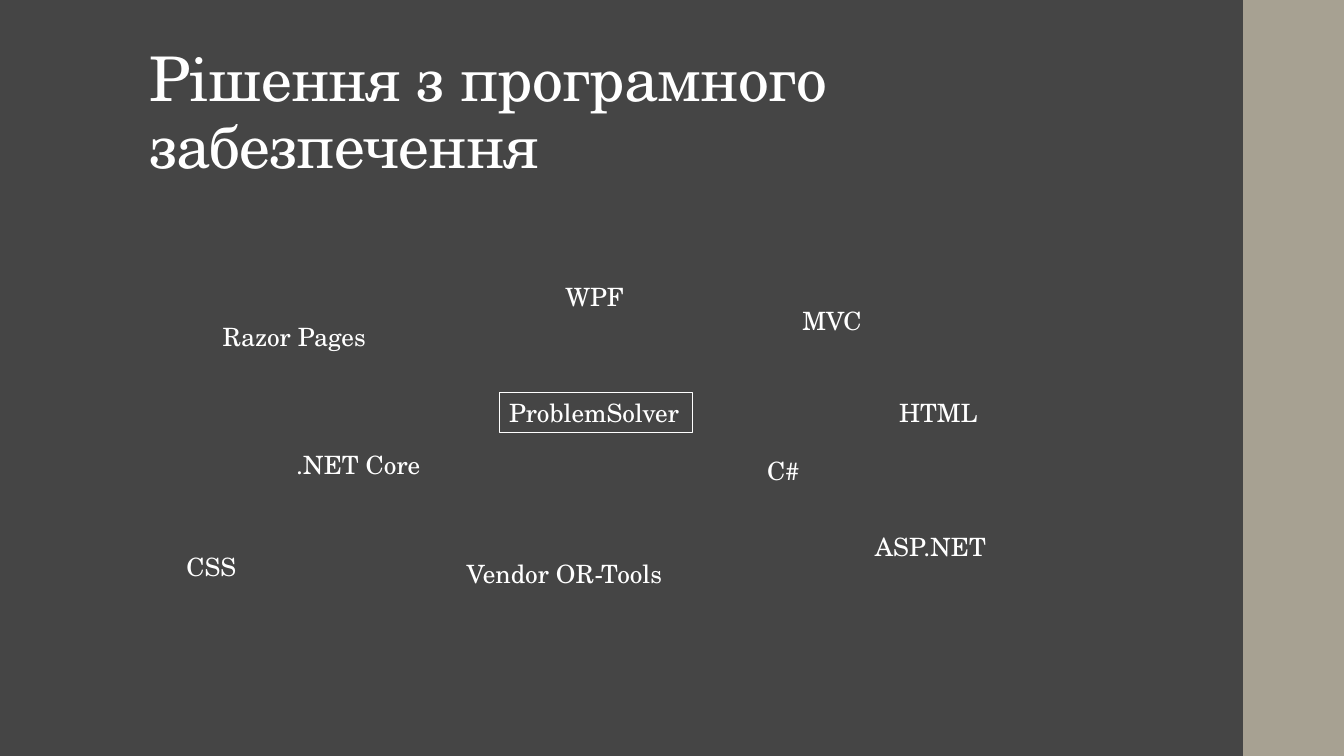
from dataclasses import dataclass

from pptx import Presentation
from pptx.dml.color import RGBColor
from pptx.enum.shapes import MSO_SHAPE
from pptx.enum.text import MSO_ANCHOR, MSO_AUTO_SIZE, PP_ALIGN
from pptx.slide import Slide
from pptx.text.text import TextFrame
from pptx.util import Inches, Pt

RECTANGLE = MSO_SHAPE.RECTANGLE
BOTTOM = MSO_ANCHOR.BOTTOM
LEFT = PP_ALIGN.LEFT
FIXED = MSO_AUTO_SIZE.NONE
GROW = MSO_AUTO_SIZE.SHAPE_TO_FIT_TEXT

FONT = "TeX Gyre Schola"
WHITE = "FFFFFF"
CHARCOAL = "454545"
SAND = "A7A192"
TITLE_ONLY_LAYOUT = 5
LABEL_HEIGHT = 0.4


@dataclass
class Label:
    text: str
    left: float
    top: float
    width: float
    framed: bool = False


LABELS = [
    Label("ProblemSolver", 4.95, 3.89, 1.92, framed=True),
    Label("MVC", 7.86, 2.98, 0.81),
    Label("Razor Pages", 2.11, 3.14, 1.64),
    Label("ASP.NET", 8.58, 5.22, 1.34),
    Label("WPF", 5.51, 2.74, 0.79),
    Label(".NET Core", 2.84, 4.41, 1.44),
    Label("HTML", 8.82, 3.89, 0.99),
    Label("CSS", 1.75, 5.42, 0.7),
    Label("C#", 7.51, 4.47, 0.52),
    Label("Vendor OR-Tools", 4.53, 5.49, 2.14),
]


def color(value: str) -> RGBColor:
    return RGBColor.from_string(value)


def write(text_frame: TextFrame, text: str, size: float) -> None:
    text_frame.text = text
    paragraph = text_frame.paragraphs[0]
    paragraph.alignment = LEFT
    font = paragraph.runs[0].font
    font.name = FONT
    font.size = Pt(size)
    font.color.rgb = color(WHITE)


def add_title(slide: Slide, text: str) -> None:
    title = slide.shapes.title
    title.left, title.top = Inches(1.38), Inches(0.4)
    title.width, title.height = Inches(10.6), Inches(1.45)
    text_frame = title.text_frame
    write(text_frame, text, 44)
    text_frame.word_wrap = True
    text_frame.auto_size = FIXED
    text_frame.vertical_anchor = BOTTOM
    paragraph = text_frame.paragraphs[0]
    paragraph.line_spacing = 0.9
    paragraph.runs[0].font._element.set("spc", "-50")


def add_side_band(slide: Slide) -> None:
    band = slide.shapes.add_shape(RECTANGLE, Inches(12.33), 0, Inches(1), Inches(7.5))
    band.shadow.inherit = False
    band.fill.solid()
    band.fill.fore_color.rgb = color(SAND)
    band.line.fill.background()


def add_label(slide: Slide, label: Label) -> None:
    box = slide.shapes.add_textbox(
        Inches(label.left), Inches(label.top), Inches(label.width), Inches(LABEL_HEIGHT)
    )
    write(box.text_frame, label.text, 18)
    box.text_frame.word_wrap = False
    box.text_frame.auto_size = GROW
    if label.framed:
        box.line.color.rgb = color(WHITE)
        box.line.width = Pt(0.75)


def main() -> None:
    presentation = Presentation()
    presentation.slide_width = Inches(13.33)
    presentation.slide_height = Inches(7.5)
    slide = presentation.slides.add_slide(presentation.slide_layouts[TITLE_ONLY_LAYOUT])
    slide.background.fill.solid()
    slide.background.fill.fore_color.rgb = color(CHARCOAL)
    add_title(slide, "Рішення з програмного забезпечення")
    add_side_band(slide)
    for label in LABELS:
        add_label(slide, label)
    presentation.save("out.pptx")


if __name__ == "__main__":
    main()
